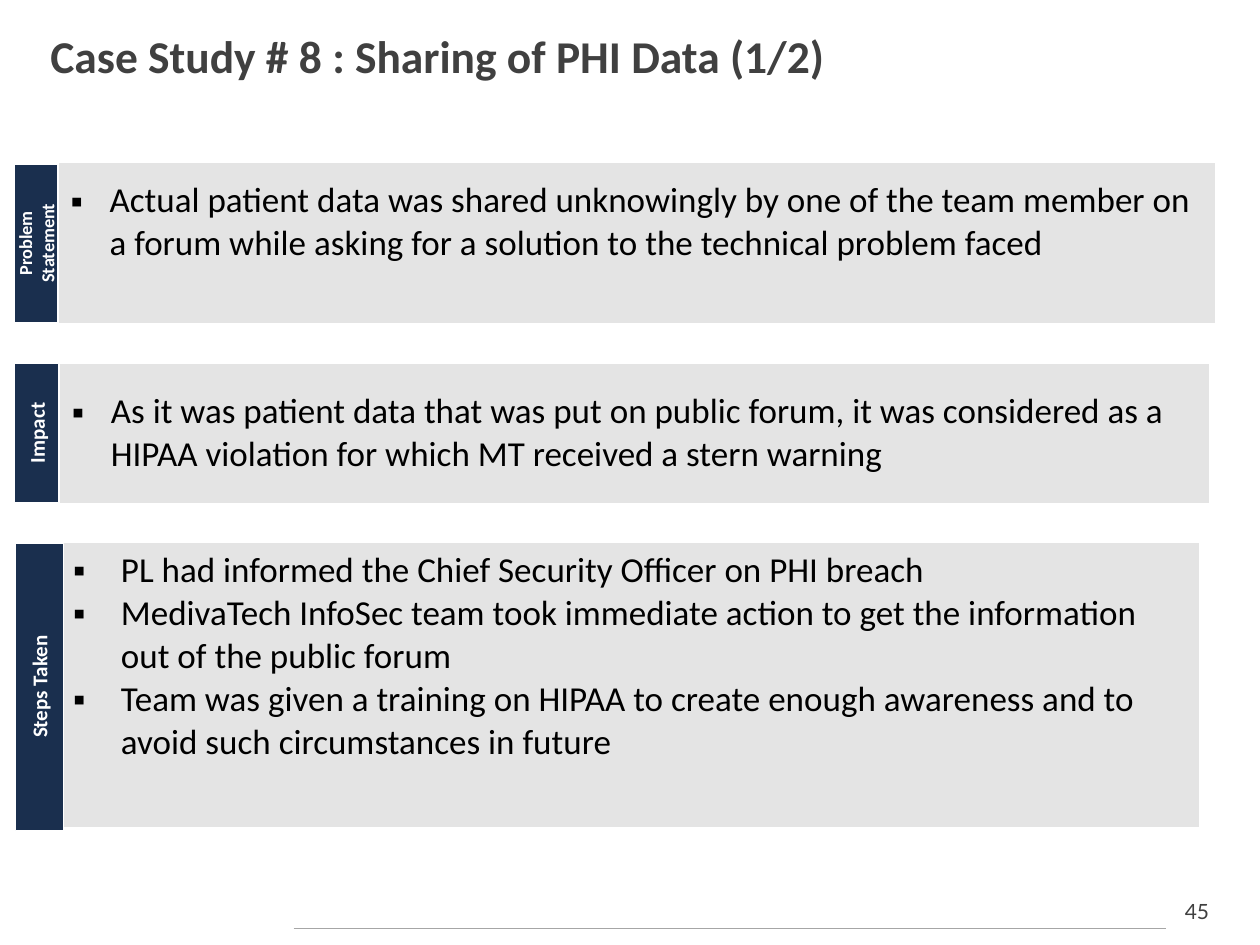
from lxml import etree
from pptx import Presentation
from pptx.dml.color import RGBColor
from pptx.enum import shapes, text
from pptx.oxml import ns
from pptx.util import Inches, Pt

NAVY = RGBColor(0x1A, 0x2F, 0x4E)
PANEL = RGBColor(0xE4, 0xE4, 0xE4)
WHITE = RGBColor(0xFF, 0xFF, 0xFF)
BLACK = RGBColor(0, 0, 0)
DARK = RGBColor(0x40, 0x40, 0x40)
RULE = RGBColor(0xA6, 0xA6, 0xA6)

SECTIONS = [
    ("Problem Statement", 10.5, (-0.34, 1.76, 1.25, 0.34),
     (0.46, 1.29, 9.19, 1.28), 0.31, 0.38,
     ["Actual patient data was shared unknowingly by one of the team member on "
      "a forum while asking for a solution to the technical problem faced"]),
    ("Impact", 12, (-0.26, 3.26, 1.1, 0.35),
     (0.47, 2.88, 9.13, 1.12), 0.31, 0.05,
     ["As it was patient data that was put on public forum, it was considered as a "
      "HIPAA violation for which MT received a stern warning"]),
    ("Steps Taken", 12, (-0.83, 5.26, 2.28, 0.38),
     (0.48, 4.3, 9.04, 2.27), 0.38, 0.5,
     ["PL had informed the Chief Security Officer on PHI breach",
      "MedivaTech InfoSec team took immediate action to get the information out "
      "of the public forum",
      "Team was given a training on HIPAA to create enough awareness and to "
      "avoid such circumstances in future"]),
]


def place(box):
    return [Inches(v) for v in box]


def write(para, words, size, color, bold=False, face="Calibri"):
    run = para.add_run()
    run.text = words
    font = run.font
    font.name, font.size, font.bold = face, Pt(size), bold
    font.color.rgb = color


def add_bullet(para, indent):
    props = para._p.get_or_add_pPr()
    props.set("marL", str(Inches(indent)))
    props.set("indent", str(-Inches(indent)))
    etree.SubElement(props, ns.qn("a:buFont"), typeface="Arial")
    etree.SubElement(props, ns.qn("a:buChar"), char="▪")


def add_edges(cell):
    props = cell._tc.get_or_add_tcPr()
    for spot, side in enumerate(("lnL", "lnR", "lnT", "lnB")):
        line = etree.Element(ns.qn("a:" + side), w=str(Pt(1)))
        fill = etree.SubElement(line, ns.qn("a:solidFill"))
        etree.SubElement(fill, ns.qn("a:srgbClr"), val=str(WHITE))
        props.insert(spot, line)


def add_panel(slide, box, indent, foot, items):
    table = slide.shapes.add_table(1, 1, *place(box)).table
    table.first_row = table.horz_banding = False
    cell = table.cell(0, 0)
    cell.fill.solid()
    cell.fill.fore_color.rgb = PANEL
    add_edges(cell)
    cell.vertical_anchor = text.MSO_ANCHOR.MIDDLE
    cell.margin_bottom = Inches(foot)
    frame = cell.text_frame
    for spot, item in enumerate(items):
        para = frame.add_paragraph() if spot else frame.paragraphs[0]
        add_bullet(para, indent)
        write(para, item, 20, BLACK)


def add_label(slide, words, size, box):
    label = slide.shapes.add_shape(shapes.MSO_SHAPE.RECTANGLE, *place(box))
    label.rotation = 270
    label.shadow.inherit = False
    label.fill.solid()
    label.fill.fore_color.rgb = NAVY
    label.line.color.rgb = WHITE
    label.line.width = Pt(0.25)
    frame = label.text_frame
    frame.word_wrap = True
    frame.vertical_anchor = text.MSO_ANCHOR.MIDDLE
    para = frame.paragraphs[0]
    para.alignment = text.PP_ALIGN.CENTER
    write(para, words, size, WHITE, True)


def add_title(slide, words):
    title = slide.shapes.title
    title.left, title.top, title.width, title.height = place((0.3, 0.12, 9.36, 0.63))
    title.text_frame.vertical_anchor = text.MSO_ANCHOR.MIDDLE
    para = title.text_frame.paragraphs[0]
    para.alignment = text.PP_ALIGN.LEFT
    write(para, words, 26, DARK, True)


def add_footer(slide, number):
    box = slide.shapes.add_textbox(*place((9.25, 7.08, 0.5, 0.3)))
    box.text_frame.word_wrap = True
    para = box.text_frame.paragraphs[0]
    para.alignment = text.PP_ALIGN.CENTER
    write(para, number, 12, DARK, face="Lato")
    line = slide.shapes.add_connector(
        shapes.MSO_CONNECTOR.STRAIGHT, *place((2.33, 7.37, 9.25, 7.37)))
    line.line.color.rgb = RULE
    line.line.width = Pt(0.75)
    etree.SubElement(line._element.spPr, ns.qn("a:effectLst"))


def main():
    deck = Presentation()
    deck.slide_width, deck.slide_height = Inches(10), Inches(7.5)
    slide = deck.slides.add_slide(deck.slide_layouts[5])
    add_footer(slide, "45")
    add_title(slide, "Case Study # 8 : Sharing of PHI Data (1/2)")
    for words, size, tab, box, indent, foot, items in SECTIONS:
        add_panel(slide, box, indent, foot, items)
        add_label(slide, words, size, tab)
    deck.save("out.pptx")


if __name__ == "__main__":
    main()
